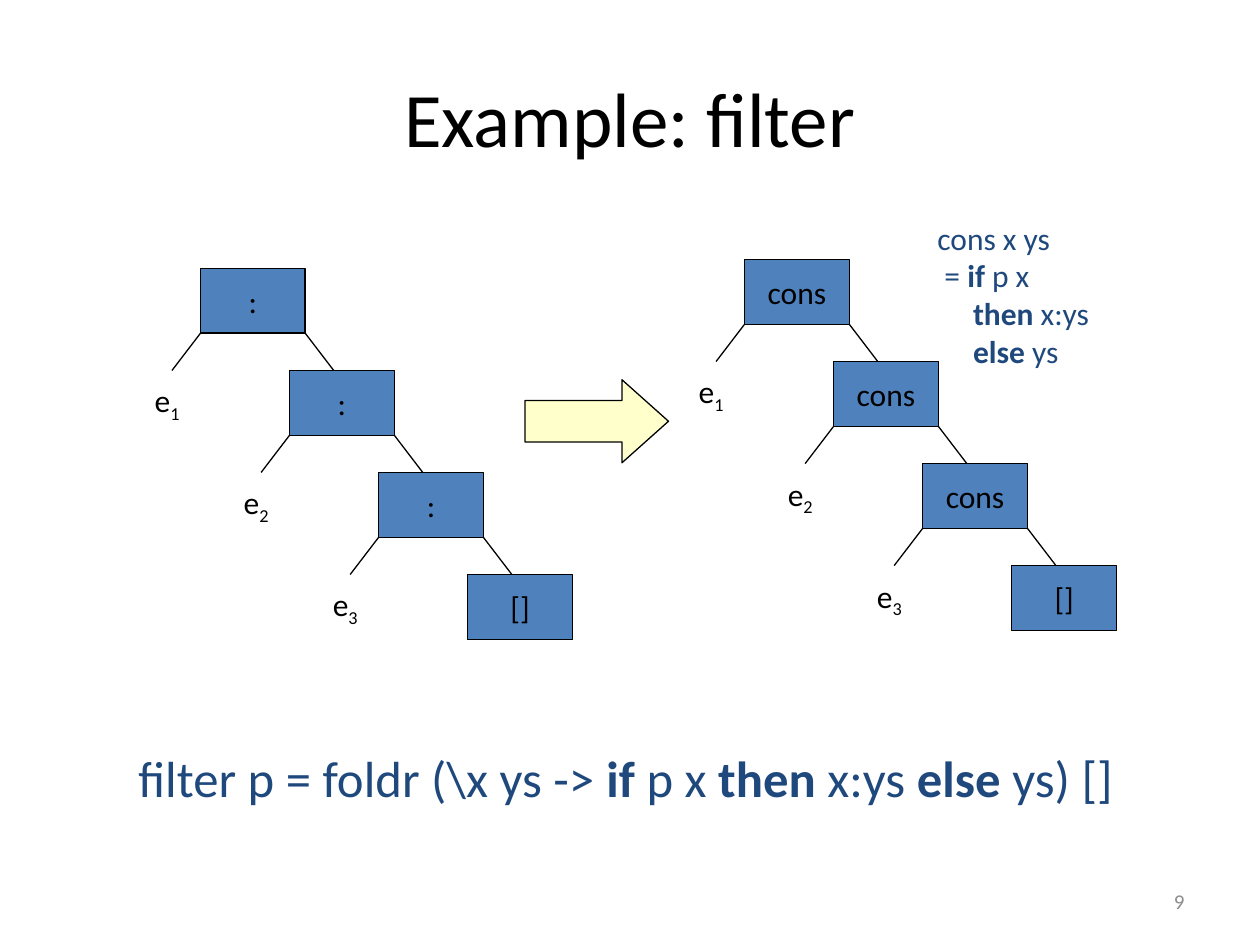
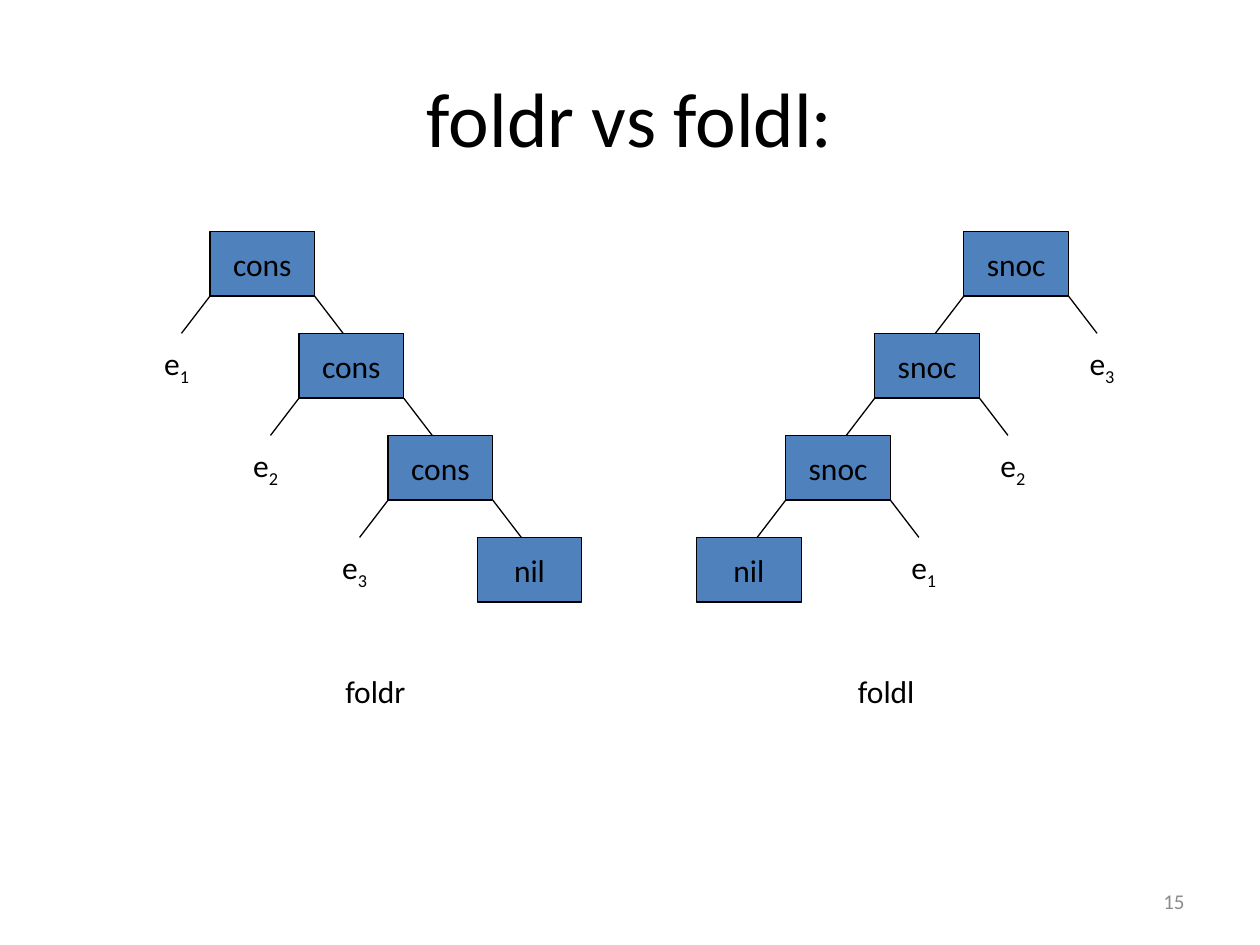
"""Build two slides that show list folds as trees."""
from pptx import Presentation
from pptx import util as u
from pptx.dml.color import RGBColor
from pptx.enum import shapes, text
from pptx.oxml.xmlchemy import OxmlElement

Pt = u.Pt
COLOURS = {"ink": "000000", "node": "4F81BD", "arrow": "FFFFCC",
           "code": "1F497D", "number": "8C8C8C"}
FONT = "Calibri"
BODY = 18
NODE_WIDTH, NODE_HEIGHT = 59.8, 36.9
STEP_X, STEP_Y = 50.9, 58.3
LEAF_SHIFT = 49
BRANCH_X, BRANCH_Y = 16.3, 21.3
CENTER, LEFT, RIGHT = (text.PP_ALIGN.CENTER, text.PP_ALIGN.LEFT,
                       text.PP_ALIGN.RIGHT)


class Deck:
    """Holds the shared style and the current slide."""

    def __init__(self):
        self.presentation = Presentation()
        self.presentation.slide_width = Pt(720)
        self.presentation.slide_height = Pt(540)
        self.slide = None

    def colour(self, name):
        return RGBColor.from_string(COLOURS[name])

    def set_text(self, shape, runs, size=BODY, colour="ink", align=CENTER,
                 anchor=text.MSO_ANCHOR.MIDDLE, wrap=False):
        """Set (text, style) runs, where style is "", "bold" or "sub"."""
        frame = shape.text_frame
        frame.word_wrap = wrap
        frame.vertical_anchor = anchor
        paragraph = frame.paragraphs[0]
        paragraph.alignment = align
        for content, style in runs:
            for index, line in enumerate(content.split("\n")):
                if index:
                    paragraph.add_line_break()
                if not line:
                    continue
                run = paragraph.add_run()
                run.text = line
                if style == "bold":
                    run.font.bold = True
                elif style == "sub":
                    run._r.get_or_add_rPr().set("baseline", "-25000")
        paragraph.font.name = FONT
        paragraph.font.size = Pt(size)
        paragraph.font.color.rgb = self.colour(colour)

    def start(self, title, number):
        layout = self.presentation.slide_layouts[5]
        self.slide = self.presentation.slides.add_slide(layout)
        heading = self.slide.shapes.title
        heading.left, heading.top = Pt(36), Pt(21.6)
        heading.width, heading.height = Pt(648), Pt(90)
        self.set_text(heading, [(title, "")], size=44, wrap=True)
        footer = self.slide.shapes.add_textbox(
            Pt(516), Pt(500.5), Pt(168), Pt(28.75))
        self.set_text(footer, [(str(number), "")], size=12, colour="number",
                      align=RIGHT, wrap=True)

    def label(self, left, top, width, height, runs, **style):
        box = self.slide.shapes.add_textbox(
            Pt(left), Pt(top), Pt(width), Pt(height))
        frame = box.text_frame
        frame.margin_left = frame.margin_right = Pt(6.5)
        frame.margin_top = frame.margin_bottom = Pt(3.2)
        frame.auto_size = text.MSO_AUTO_SIZE.SHAPE_TO_FIT_TEXT
        self.set_text(box, runs, anchor=text.MSO_ANCHOR.TOP, **style)

    def shape(self, parent, kind, left, top, width, height, fill):
        shape = parent.add_shape(kind, Pt(left), Pt(top), Pt(width), Pt(height))
        shape.shadow.inherit = False
        shape.fill.solid()
        shape.fill.fore_color.rgb = self.colour(fill)
        self.outline(shape)
        return shape

    def outline(self, shape):
        shape.line.color.rgb = self.colour("ink")
        shape.line.width = Pt(0.75)

    def branch(self, parent, x, y, direction):
        line = parent.add_connector(
            shapes.MSO_CONNECTOR.STRAIGHT, Pt(x), Pt(y),
            Pt(x + direction * BRANCH_X), Pt(y + BRANCH_Y))
        self.outline(line)
        line._element.spPr.append(OxmlElement("a:effectLst"))

    def tree(self, left, top, nodes, leaves, direction=1):
        """Draw a chain of nodes that descends right (1) or left (-1)."""
        parent = self.slide.shapes.add_group_shape().shapes
        for level, name in enumerate(nodes):
            x = left + direction * level * STEP_X
            y = top + level * STEP_Y
            node = self.shape(parent, shapes.MSO_SHAPE.RECTANGLE, x, y,
                              NODE_WIDTH, NODE_HEIGHT, "node")
            self.set_text(node, [(name, "")])
            if level < len(leaves):
                leaf = parent.add_textbox(
                    Pt(x - direction * LEAF_SHIFT), Pt(y + STEP_Y),
                    Pt(NODE_WIDTH), Pt(NODE_HEIGHT))
                self.set_text(leaf, [("e", ""), (leaves[level], "sub")])
                self.branch(parent, x, y + NODE_HEIGHT, -1)
                self.branch(parent, x + NODE_WIDTH, y + NODE_HEIGHT, 1)

    def arrow(self, left, top, width, height):
        arrow = self.shape(self.slide.shapes, shapes.MSO_SHAPE.RIGHT_ARROW,
                           left, top, width, height, "arrow")
        arrow.adjustments[0] = 0.5
        arrow.adjustments[1] = 0.56


def filter_slide(deck):
    deck.start("Example: filter", 9)
    deck.tree(114.6, 153.5, [":"] * 3 + ["[]"], "123")
    deck.tree(425.5, 148.4, ["cons"] * 3 + ["[]"], "123")
    deck.arrow(300, 217, 82, 47.5)
    deck.label(529.2, 121.7, 174, 93.6, [
        ("cons x ys\n = ", ""), ("if", "bold"), (" p x\n     ", ""),
        ("then", "bold"), (" x:ys\n     ", ""), ("else", "bold"),
        (" ys", "")], colour="code", align=LEFT, wrap=True)
    deck.label(70.6, 423.4, 573.8, 41.8, [
        ("filter p = foldr (\\x ys -> ", ""), ("if", "bold"), (" p x ", ""),
        ("then", "bold"), (" x:ys ", ""), ("else ", "bold"),
        ("ys) []", "")], size=29, colour="code")


def fold_slide(deck):
    deck.start("foldr vs foldl:", 15)
    deck.tree(550.8, 132.3, ["snoc"] * 3 + ["nil"], "321", direction=-1)
    deck.tree(120, 132.3, ["cons"] * 3 + ["nil"], "123")
    for name, left, width in (("foldr", 190.8, 51.8), ("foldl", 483.8, 49.7)):
        deck.label(left, 380.9, width, 28, [(name, "")], align=LEFT)


def main():
    deck = Deck()
    filter_slide(deck)
    fold_slide(deck)
    deck.presentation.save("out.pptx")


if __name__ == "__main__":
    main()
